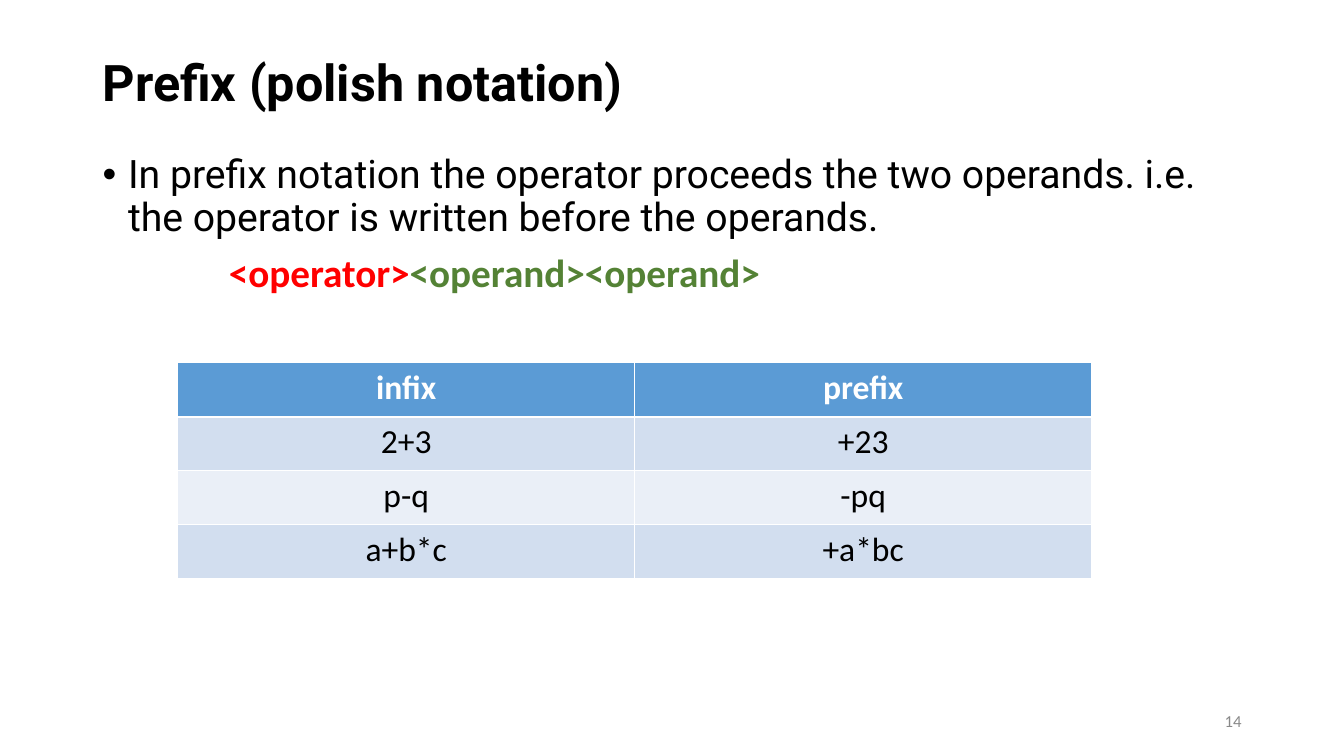
from dataclasses import dataclass
from typing import Any

from lxml import etree
from pptx import Presentation
from pptx.dml.color import RGBColor
from pptx.enum.text import MSO_ANCHOR, PP_ALIGN
from pptx.oxml.ns import qn
from pptx.util import Cm, Pt

LEFT, CENTER, RIGHT = PP_ALIGN.LEFT, PP_ALIGN.CENTER, PP_ALIGN.RIGHT
TOP, MIDDLE = MSO_ANCHOR.TOP, MSO_ANCHOR.MIDDLE
BLACK, WHITE, RED, GREEN, GREY = "000000", "FFFFFF", "FF0000", "548235", "898989"
HEADER_FILL, BAND_FILLS = "5B9BD5", ("D2DEEF", "EAEFF7")
THIN, THICK = 0.45, 1.47


@dataclass
class Run:
    text: str
    size: float
    font: str = "Calibri"
    color: str = BLACK
    bold: bool = False


@dataclass
class Para:
    runs: list[Run]
    align: Any = LEFT
    spacing: float = 1.0
    before: float = 0
    margin: float = 0
    indent: float = 0
    bullet: str = ""


@dataclass
class Box:
    left: float
    top: float
    width: float
    height: float
    anchor: Any
    paras: list[Para]


BOXES = [
    Box(2.34, 1.02, 29.21, 2.24, MIDDLE, [
        Para([Run("Prefix (polish notation)", 36, "Roboto", bold=True)], spacing=0.9),
    ]),
    Box(2.34, 3.78, 29.21, 13.36, TOP, [
        Para([Run("In prefix notation the operator proceeds the two operands. i.e. "
                  "the operator is written before the operands.", 28, "Roboto")],
             spacing=0.9, margin=0.64, indent=-0.64, bullet="•"),
        Para([Run("<operator>", 28, color=RED, bold=True),
              Run("<operand><operand>", 28, color=GREEN, bold=True)],
             spacing=0.9, before=10, margin=3.18),
    ]),
    Box(23.93, 17.65, 7.62, 1.02, MIDDLE, [
        Para([Run("14", 12, color=GREY)], align=RIGHT),
    ]),
]

NOTATIONS = [
    ("infix", "prefix"),
    ("2+3", "+23"),
    ("p-q", "-pq"),
    ("a+b*c", "+a*bc"),
]


def rgb(color: str) -> RGBColor:
    return RGBColor.from_string(color)


def set_all(target: Any, values: dict[str, Any]) -> None:
    for name, value in values.items():
        setattr(target, name, value)


def write_para(p: Any, para: Para) -> None:
    pPr = p._p.get_or_add_pPr()
    pPr.set("marL", str(Cm(para.margin)))
    pPr.set("indent", str(Cm(para.indent)))
    if para.bullet:
        etree.SubElement(pPr, qn("a:buFont"), typeface="Arial")
        etree.SubElement(pPr, qn("a:buChar"), char=para.bullet)
    set_all(p, {"alignment": para.align, "line_spacing": para.spacing,
                "space_before": Pt(para.before)})
    for run in para.runs:
        r = p.add_run()
        r.text = run.text
        set_all(r.font, {"name": run.font, "size": Pt(run.size), "bold": run.bold})
        r.font.color.rgb = rgb(run.color)


def add_box(slide: Any, box: Box) -> None:
    sp = slide.shapes.add_textbox(Cm(box.left), Cm(box.top), Cm(box.width), Cm(box.height))
    tf = sp.text_frame
    set_all(tf, {"word_wrap": True, "vertical_anchor": box.anchor})
    for i, para in enumerate(box.paras):
        write_para(tf.add_paragraph() if i else tf.paragraphs[0], para)


def set_borders(cell: Any, widths: dict[str, float]) -> None:
    tcPr = cell._tc.get_or_add_tcPr()
    for side, width in widths.items():
        ln = etree.SubElement(tcPr, qn(f"a:ln{side}"), w=str(Pt(width)))
        fill = etree.SubElement(ln, qn("a:solidFill"))
        etree.SubElement(fill, qn("a:srgbClr"), val=WHITE)


def add_notation_table(slide: Any, rows: list[tuple[str, str]]) -> None:
    frame = slide.shapes.add_table(len(rows), len(rows[0]),
                                   Cm(4.48), Cm(9.14), Cm(23.04), Cm(5.44))
    table = frame.table
    for i, row in enumerate(rows):
        header = i == 0
        for j, text in enumerate(row):
            cell = table.cell(i, j)
            set_borders(cell, {"L": THIN, "R": THIN,
                               "T": THICK if i == 1 else THIN,
                               "B": THICK if header else THIN})
            cell.fill.solid()
            cell.fill.fore_color.rgb = rgb(HEADER_FILL if header else BAND_FILLS[(i - 1) % 2])
            run = Run(text, 24, color=WHITE if header else BLACK, bold=header)
            write_para(cell.text_frame.paragraphs[0], Para([run], align=CENTER))


def main() -> None:
    prs = Presentation()
    set_all(prs, {"slide_width": Cm(33.88), "slide_height": Cm(19.05)})
    s = prs.slides.add_slide(prs.slide_layouts[6])
    for box in BOXES:
        add_box(s, box)
    add_notation_table(s, NOTATIONS)
    prs.save("out.pptx")


if __name__ == "__main__":
    main()
